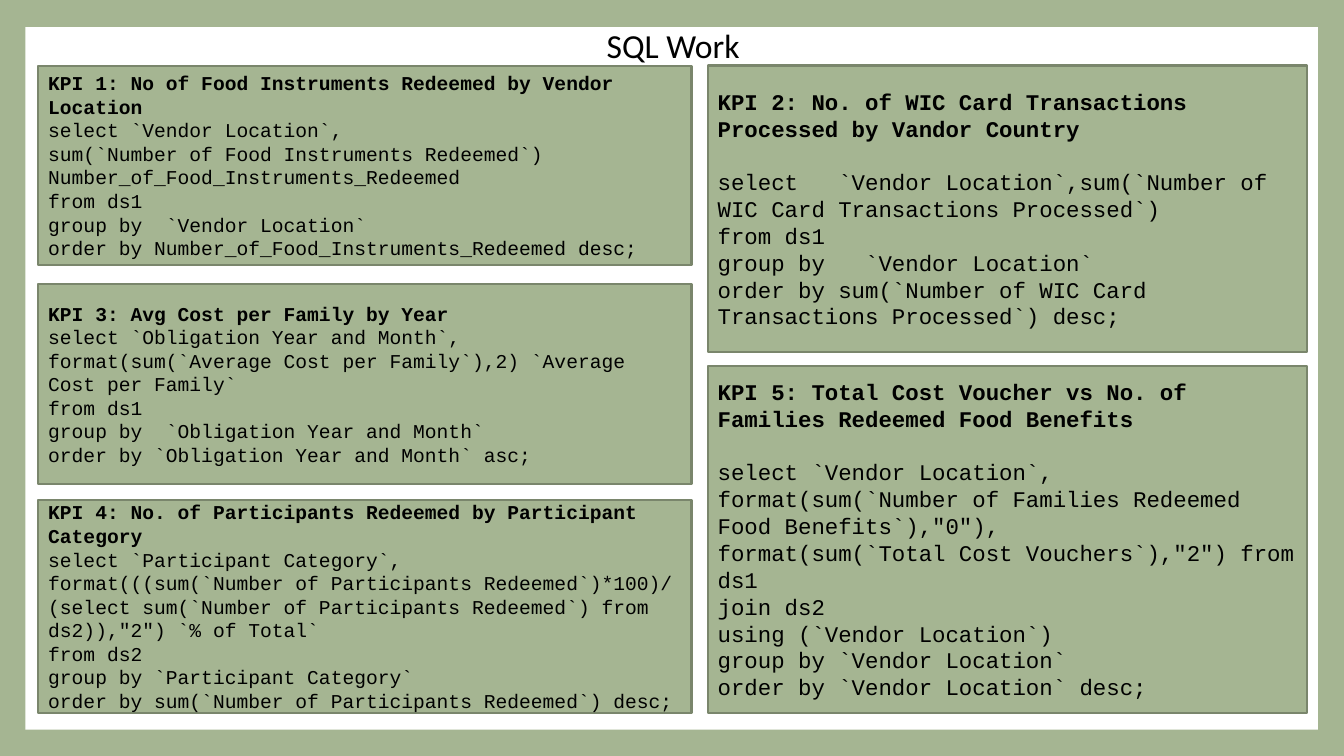
import pptx
import pptx.util
import pptx.dml.color
import pptx.enum.shapes
import pptx.enum.text

RGB = pptx.dml.color.RGBColor.from_string
Pt = pptx.util.Pt
theme = {
    "sage": RGB("A5B592"), "edge": RGB("7A866C"),
    "white": RGB("FFFFFF"), "ink": RGB("000000"),
    "code": "Courier New", "head": "Calibri",
    "title": Pt(24), "small": Pt(14), "large": Pt(16),
}

deck = pptx.Presentation()
deck.slide_width = pptx.util.Inches(13.33)
deck.slide_height = pptx.util.Inches(7.5)
slide = deck.slides.add_slide(deck.slide_layouts[6])
slide.background.fill.solid()
slide.background.fill.fore_color.rgb = theme["sage"]


def area(left, top, width, height):
    wide, high = deck.slide_width / 100, deck.slide_height / 100
    return [round(n) for n in (left * wide, top * high, width * wide, height * high)]


def block(box, fill):
    shape = slide.shapes.add_shape(pptx.enum.shapes.MSO_SHAPE.RECTANGLE, *box)
    shape.shadow.inherit = False
    shape.fill.solid()
    shape.fill.fore_color.rgb = theme[fill]
    shape.line.fill.background()
    return shape


columns = [
    (2.85, 48.61, "small", 0, [
        (8.67, 26.4, "KPI 1: No of Food Instruments Redeemed by Vendor Location", [
            "select `Vendor Location`,",
            "sum(`Number of Food Instruments Redeemed`) Number_of_Food_Instruments_Redeemed",
            "from ds1",
            "group by  `Vendor Location`",
            "order by Number_of_Food_Instruments_Redeemed desc;",
        ]),
        (37.6, 26.4, "KPI 3: Avg Cost per Family by Year", [
            "select `Obligation Year and Month`,",
            "format(sum(`Average Cost per Family`),2) `Average Cost per Family`",
            "from ds1",
            "group by  `Obligation Year and Month`",
            "order by `Obligation Year and Month` asc;",
        ]),
        (66.13, 28.13, "KPI 4: No. of Participants Redeemed by Participant Category", [
            "select `Participant Category`,",
            "format(((sum(`Number of Participants Redeemed`)*100)/",
            "(select sum(`Number of Participants Redeemed`) from ds2)),\"2\") `% of Total`",
            "from ds2",
            "group by `Participant Category`",
            "order by sum(`Number of Participants Redeemed`) desc;",
        ]),
    ]),
    (52.66, 44.56, "large", 19, [
        (8.67, 37.87, "KPI 2: No. of WIC Card Transactions Processed by Vandor Country", [
            "select   `Vendor Location`,sum(`Number of WIC Card Transactions Processed`)",
            "from ds1",
            "group by   `Vendor Location`",
            "order by sum(`Number of WIC Card Transactions Processed`) desc;",
        ]),
        (48.4, 45.87, "KPI 5: Total Cost Voucher vs No. of Families Redeemed Food Benefits", [
            "select `Vendor Location`,",
            "format(sum(`Number of Families Redeemed Food Benefits`),\"0\"),",
            "format(sum(`Total Cost Vouchers`),\"2\") from ds1",
            "join ds2",
            "using (`Vendor Location`)",
            "group by `Vendor Location`",
            "order by `Vendor Location` desc;",
        ]),
    ]),
]

block(area(1.88, 3.6, 96.17, 92.93), "white")

for left, width, size, gap, cards in columns:
    for top, height, name, query in cards:
        card = block(area(left, top, width, height), "sage")
        card.line.color.rgb = theme["edge"]
        card.line.width = Pt(1.5)
        frame = card.text_frame
        frame.word_wrap = True
        frame.vertical_anchor = pptx.enum.text.MSO_ANCHOR.MIDDLE
        for row, text in enumerate([name, *query]):
            line = frame.add_paragraph() if row else frame.paragraphs[0]
            line.text = text
            line.alignment = pptx.enum.text.PP_ALIGN.LEFT
            line.font.name = theme["code"]
            line.font.size = theme[size]
            line.font.color.rgb = theme["ink"]
            line.font.bold = row == 0
            line.space_after = Pt(0 if row else gap)

title = slide.shapes.add_textbox(*area(1.73, 2.67, 96.7, 6.67)).text_frame
title.word_wrap = True
title.auto_size = pptx.enum.text.MSO_AUTO_SIZE.SHAPE_TO_FIT_TEXT
label = title.paragraphs[0]
label.text = "SQL Work"
label.alignment = pptx.enum.text.PP_ALIGN.CENTER
label.font.name = theme["head"]
label.font.size = theme["title"]
label.font.color.rgb = theme["ink"]

deck.save("out.pptx")
